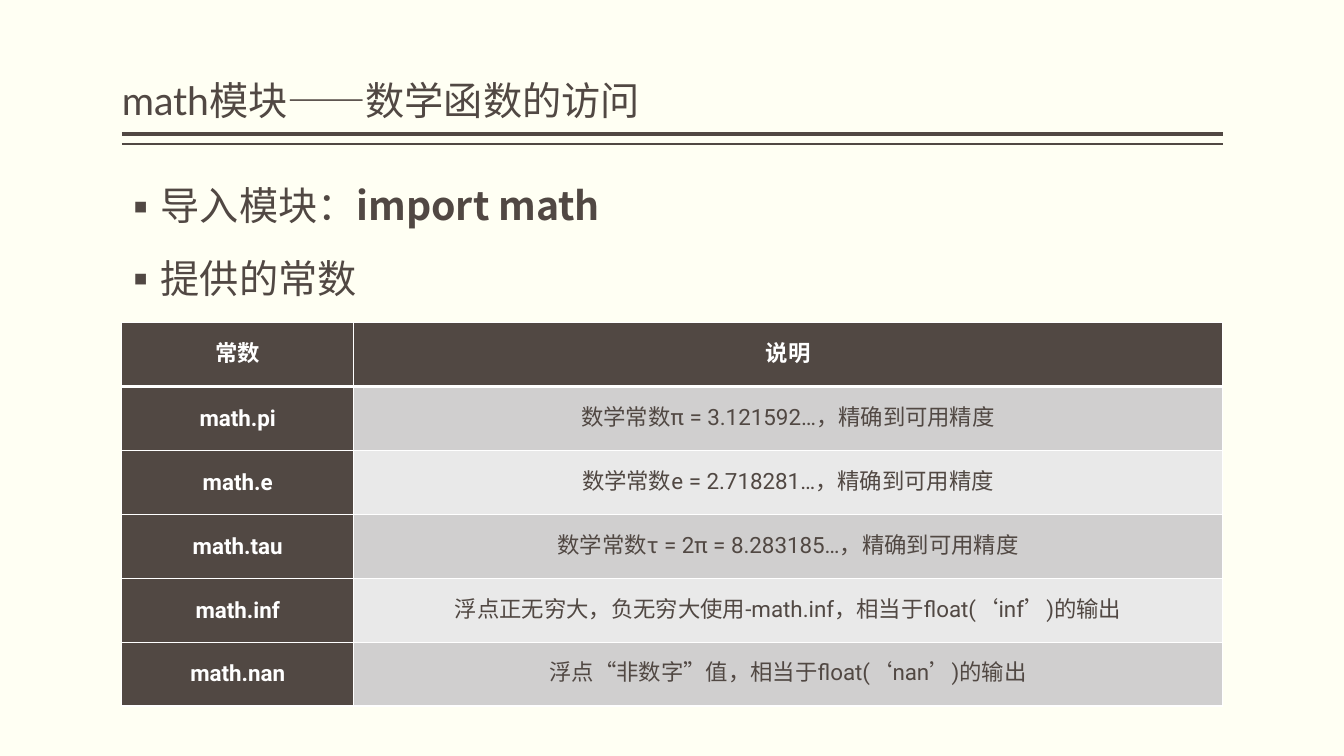
from lxml import etree
from pptx import Presentation
from pptx.dml.color import RGBColor
from pptx.enum.shapes import MSO_CONNECTOR
from pptx.enum.text import MSO_ANCHOR, PP_ALIGN
from pptx.oxml.ns import qn
from pptx.util import Cm, Pt

TITLE = "math模块——数学函数的访问"
BULLETS = [
    [("导入模块：", False), ("import math", True)],
    [("提供的常数", False)],
]
CONSTANTS = [
    ("常数", "说明"),
    ("math.pi", "数学常数π = 3.121592…，精确到可用精度"),
    ("math.e", "数学常数e = 2.718281…，精确到可用精度"),
    ("math.tau", "数学常数τ = 2π = 8.283185…，精确到可用精度"),
    ("math.inf", "浮点正无穷大，负无穷大使用-math.inf，相当于float(‘inf’)的输出"),
    ("math.nan", "浮点“非数字”值，相当于float(‘nan’)的输出"),
]

BROWN, WHITE, CREAM = "514843", "FFFFFF", "FFFFF3"
BANDS = ["E9E9E9", "D0CFCF"]
CJK_FONT = "Noto Sans CJK SC"
LEFT, WIDTH = 3.07, 27.74
RULES = [(3.38, 3), (3.63, 1)]
TABLE_TOP, ROW_HEIGHT = 8.13, 1.61
COLUMN_WIDTHS = [5.84, 21.9]
STRAIGHT = MSO_CONNECTOR.STRAIGHT
MIDDLE, BOTTOM, TOP = MSO_ANCHOR.MIDDLE, MSO_ANCHOR.BOTTOM, MSO_ANCHOR.TOP
CENTER, ALIGN_LEFT = PP_ALIGN.CENTER, PP_ALIGN.LEFT


def color(hex_string):
    return RGBColor.from_string(hex_string)


def add_text(paragraph, text, size=28, font=CJK_FONT, fill=BROWN, bold=False):
    run = paragraph.add_run()
    run.text = text
    run.font.size = Pt(size)
    run.font.name = font
    run.font.bold = bold
    run.font.color.rgb = color(fill)
    properties = run.font._element
    properties.set("lang", "zh-CN")
    latin = properties.find(qn("a:latin"))
    latin.addnext(etree.Element(qn("a:ea"), typeface=CJK_FONT))


def format_frame(frame, anchor):
    frame.word_wrap = True
    frame.vertical_anchor = anchor
    frame.margin_left = frame.margin_right = 0
    frame.margin_top = frame.margin_bottom = Cm(0.13)


def place(shape, left, top, width, height):
    shape.left, shape.top = Cm(left), Cm(top)
    shape.width, shape.height = Cm(width), Cm(height)


def add_bullet(paragraph, indent=Cm(0.63)):
    properties = paragraph._p.get_or_add_pPr()
    properties.set("marL", str(indent))
    properties.set("indent", str(-indent))
    etree.SubElement(properties, qn("a:buFont"), typeface=CJK_FONT)
    etree.SubElement(properties, qn("a:buChar"), char="▪")


def add_borders(cell, bottom_width):
    properties = cell._tc.get_or_add_tcPr()
    widths = {"a:lnL": 1, "a:lnR": 1, "a:lnT": 1, "a:lnB": bottom_width}
    for position, (side, width) in enumerate(widths.items()):
        line = etree.Element(qn(side), w=str(Pt(width)))
        fill = etree.SubElement(line, qn("a:solidFill"))
        etree.SubElement(fill, qn("a:srgbClr"), val=WHITE)
        properties.insert(position, line)


def add_title(slide):
    title = slide.shapes.title
    place(title, LEFT, 0.2, WIDTH, 3.05)
    format_frame(title.text_frame, BOTTOM)
    paragraph = title.text_frame.paragraphs[0]
    paragraph.alignment = ALIGN_LEFT
    paragraph.line_spacing = 0.9
    add_text(paragraph, TITLE, font="Lato")


def add_rules(slide):
    for y, width in RULES:
        rule = slide.shapes.add_connector(
            STRAIGHT, Cm(LEFT), Cm(y), Cm(LEFT + WIDTH), Cm(y))
        rule.line.color.rgb = color(BROWN)
        rule.line.width = Pt(width)
        etree.SubElement(rule._element.spPr, qn("a:effectLst"))


def add_bullets(slide):
    box = slide.shapes.add_textbox(Cm(LEFT), Cm(4.45), Cm(WIDTH), Cm(12.7))
    frame = box.text_frame
    format_frame(frame, TOP)
    for index, runs in enumerate(BULLETS):
        paragraph = frame.add_paragraph() if index else frame.paragraphs[0]
        paragraph.space_before = Pt(18)
        add_bullet(paragraph)
        for text, bold in runs:
            add_text(paragraph, text, bold=bold)


def add_constants_table(slide):
    table = slide.shapes.add_table(
        len(CONSTANTS), len(COLUMN_WIDTHS), Cm(LEFT), Cm(TABLE_TOP),
        Cm(WIDTH), Cm(ROW_HEIGHT * len(CONSTANTS))).table
    for column, width in zip(table.columns, COLUMN_WIDTHS):
        column.width = Cm(width)
    for row_index, row in enumerate(CONSTANTS):
        table.rows[row_index].height = Cm(ROW_HEIGHT)
        for column_index, text in enumerate(row):
            cell = table.cell(row_index, column_index)
            is_heading = row_index == 0 or column_index == 0
            cell.vertical_anchor = MIDDLE
            cell.margin_left = cell.margin_right = Cm(0.18)
            cell.margin_top = cell.margin_bottom = 0
            cell.fill.solid()
            cell.fill.fore_color.rgb = color(
                BROWN if is_heading else BANDS[row_index % 2])
            add_borders(cell, 1 if row_index else 3)
            paragraph = cell.text_frame.paragraphs[0]
            paragraph.alignment = CENTER
            paragraph.line_spacing = Pt(19)
            add_text(paragraph, text, size=16, font="Roboto", bold=is_heading,
                     fill=WHITE if is_heading else BROWN)


def main():
    presentation = Presentation()
    presentation.slide_width, presentation.slide_height = Cm(33.87), Cm(19.05)
    slide = presentation.slides.add_slide(presentation.slide_layouts[5])
    slide.background.fill.solid()
    slide.background.fill.fore_color.rgb = color(CREAM)
    add_rules(slide)
    add_title(slide)
    add_bullets(slide)
    add_constants_table(slide)
    presentation.save("out.pptx")


if __name__ == "__main__":
    main()
